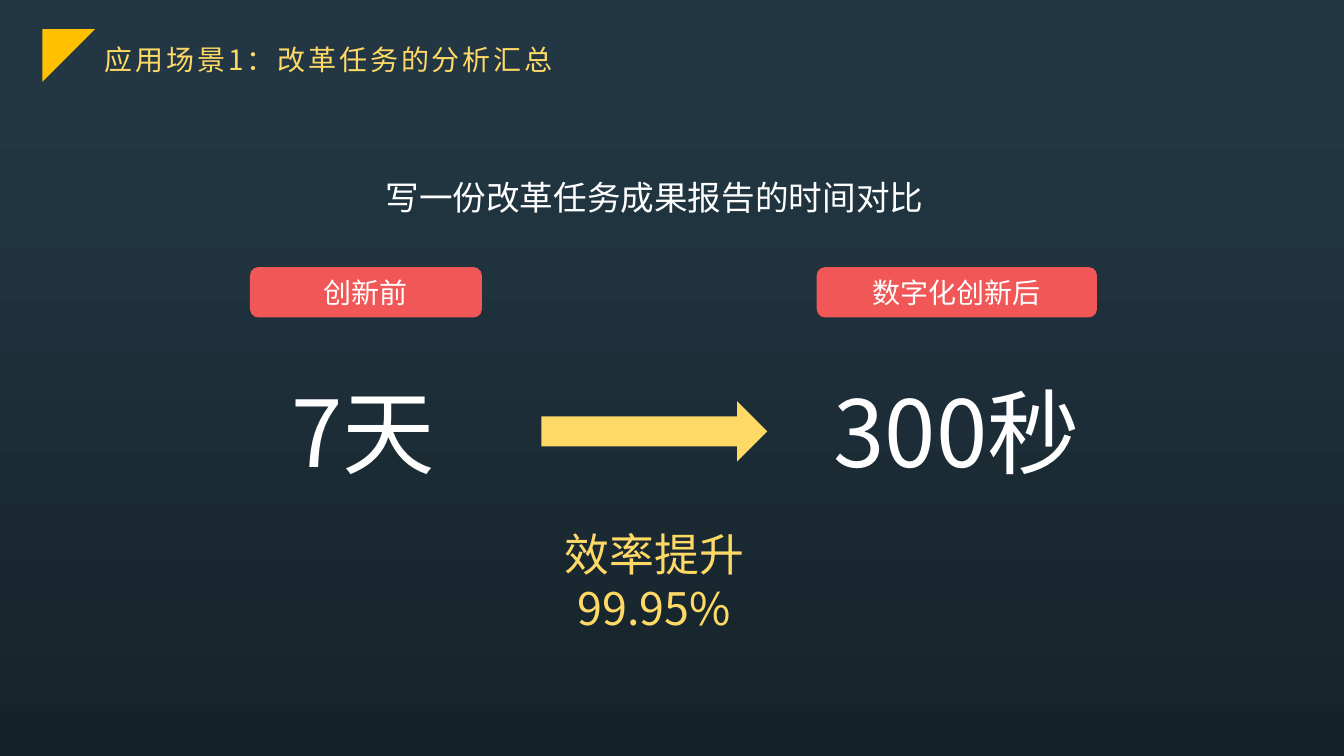
from lxml.etree import SubElement
from pptx import Presentation
from pptx.dml.color import RGBColor
from pptx.enum.shapes import MSO_SHAPE as Shape
from pptx.enum.text import MSO_ANCHOR as Anchor, PP_ALIGN as Align
from pptx.oxml.ns import qn
from pptx.util import Inches, Pt

FONT = "Noto Sans CJK SC"
WHITE = RGBColor(0xFF, 0xFF, 0xFF)
YELLOW = RGBColor(0xFF, 0xD9, 0x66)
AMBER = RGBColor(0xFF, 0xC0, 0x00)
RED = RGBColor(0xF1, 0x57, 0x57)
NIGHT = RGBColor(0x16, 0x22, 0x2A)
SLATE = RGBColor(0x22, 0x37, 0x43)

BEFORE_LEFT, ARROW_LEFT, AFTER_LEFT = 2.48, 5.37, 8.1
ARROW_WIDTH, AFTER_WIDTH = 2.24, 2.78
LABEL_TOP, LABEL_HEIGHT = 2.65, 0.5
FIGURE_TOP, FIGURE_HEIGHT = 3.67, 1.21


def set_background(slide):
    """Fill the slide with a gradient that darkens downwards."""
    fill = slide.background.fill
    fill.gradient()
    fill.gradient_angle = 90
    for stop, position, color in zip(fill.gradient_stops, (0, 0.87), (NIGHT, SLATE)):
        stop.position = position
        stop.color.rgb = color


def write_text(shape, text, size, color, align=Align.CENTER, spacing=0):
    """Write one styled paragraph into a shape and return its text frame."""
    frame = shape.text_frame
    frame.word_wrap = True
    paragraph = frame.paragraphs[0]
    paragraph.text = text
    paragraph.alignment = align
    font = paragraph.font
    font.size = Pt(size)
    font.name = FONT
    font.color.rgb = color
    properties = paragraph._p.pPr.find(qn("a:defRPr"))
    SubElement(properties, qn("a:ea"), typeface=FONT)
    if spacing:
        properties.set("spc", str(spacing * 100))
    return frame


def add_text(slide, box, text, size, color, **style):
    """Add a wrapped text box and return its text frame."""
    shape = slide.shapes.add_textbox(*map(Inches, box))
    return write_text(shape, text, size, color, **style)


def add_block(slide, kind, box, color):
    """Add a flat preset shape without outline."""
    shape = slide.shapes.add_shape(kind, *map(Inches, box))
    shape.shadow.inherit = False
    shape.fill.solid()
    shape.fill.fore_color.rgb = color
    shape.line.fill.background()
    return shape


def add_label(slide, left, width, text):
    """Add a red rounded label above a figure."""
    box = (left, LABEL_TOP, width, LABEL_HEIGHT)
    shape = add_block(slide, Shape.ROUNDED_RECTANGLE, box, RED)
    write_text(shape, text, 20, WHITE).vertical_anchor = Anchor.MIDDLE


def add_title(slide, text):
    """Add the corner triangle and the slide title."""
    corner = add_block(slide, Shape.RIGHT_TRIANGLE, (0.42, 0.29, 0.52, 0.52), AMBER)
    corner.rotation = 90
    frame = add_text(slide, (0.93, 0.29, 7.25, 0.59), text, 20, YELLOW,
                     align=Align.LEFT, spacing=2)
    frame.vertical_anchor = Anchor.MIDDLE
    frame.margin_left = Inches(0.11)
    frame.margin_right = Inches(0.08)
    frame.margin_top = frame.margin_bottom = Inches(0.04)


def main():
    """Build the time comparison slide."""
    presentation = Presentation()
    presentation.slide_width = Inches(13.33)
    presentation.slide_height = Inches(7.5)
    slide = presentation.slides.add_slide(presentation.slide_layouts[6])
    set_background(slide)
    add_title(slide, "应用场景1：改革任务的分析汇总")
    add_text(slide, (3.12, 1.71, 6.74, 0.5), "写一份改革任务成果报告的时间对比", 24, WHITE)
    for left, label_width, label, figure_width, figure in (
        (BEFORE_LEFT, 2.3, "创新前", 2.25, "7天"),
        (AFTER_LEFT, AFTER_WIDTH, "数字化创新后", AFTER_WIDTH, "300秒"),
    ):
        add_label(slide, left, label_width, label)
        add_text(slide, (left, FIGURE_TOP, figure_width, FIGURE_HEIGHT), figure, 66, WHITE)
    add_block(slide, Shape.RIGHT_ARROW, (ARROW_LEFT, 3.98, ARROW_WIDTH, 0.6), YELLOW)
    add_text(slide, (ARROW_LEFT, 5.18, ARROW_WIDTH, 1.72), "效率提升99.95%", 32, YELLOW)
    presentation.save("out.pptx")


if __name__ == "__main__":
    main()
